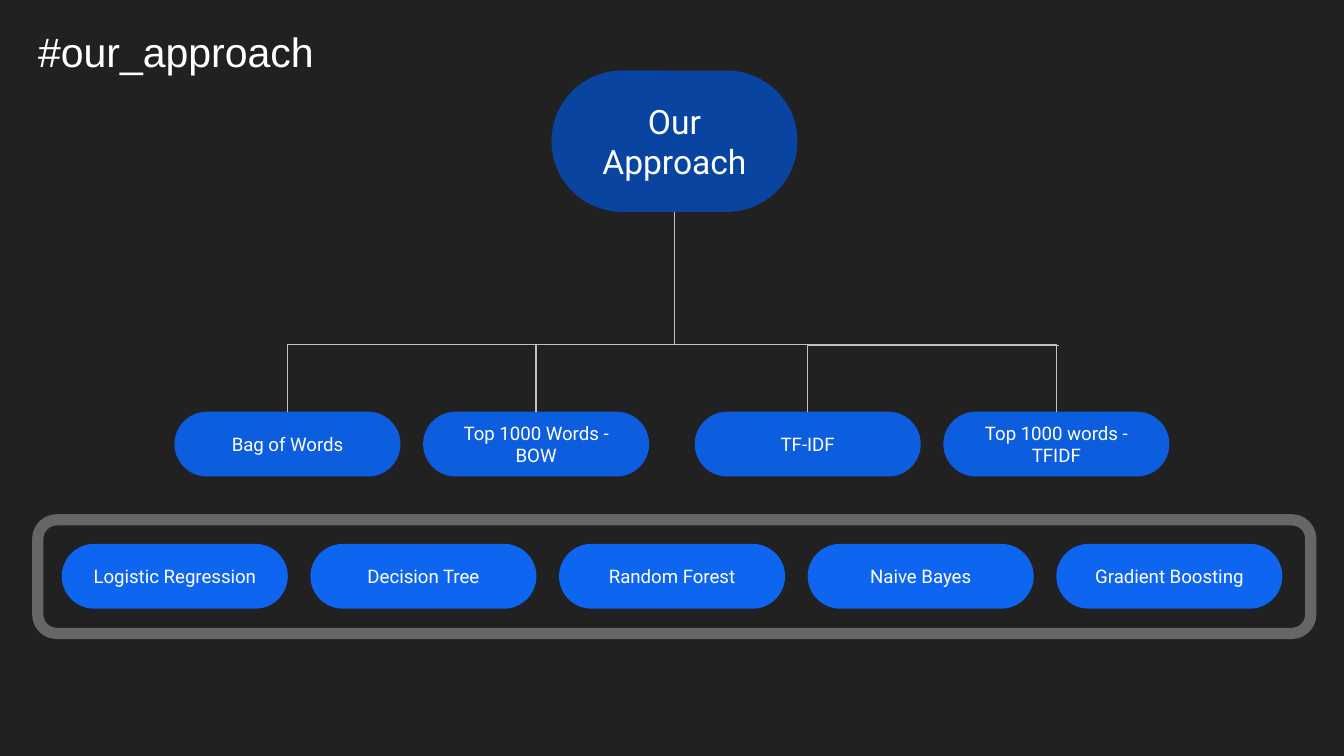
from pptx import Presentation
from pptx.dml.color import RGBColor
from pptx.enum.shapes import MSO_CONNECTOR, MSO_SHAPE
from pptx.enum.text import MSO_ANCHOR, PP_ALIGN
from pptx.oxml.ns import qn
from pptx.util import Pt
from lxml import etree

ROUNDED = MSO_SHAPE.ROUNDED_RECTANGLE
FRAME = MSO_SHAPE.FLOWCHART_ALTERNATE_PROCESS
ELBOW = MSO_CONNECTOR.ELBOW
TOP, MIDDLE = MSO_ANCHOR.TOP, MSO_ANCHOR.MIDDLE
LEFT, CENTER = PP_ALIGN.LEFT, PP_ALIGN.CENTER

BACKGROUND = RGBColor(0x21, 0x21, 0x21)
WHITE = RGBColor(0xFF, 0xFF, 0xFF)
ROOT_BLUE = RGBColor(0x09, 0x44, 0xA1)
FEATURE_BLUE = RGBColor(0x0D, 0x5D, 0xDF)
MODEL_BLUE = RGBColor(0x0E, 0x65, 0xF0)
LINE_GRAY = RGBColor(0xC2, 0xC2, 0xC2)
FRAME_GRAY = RGBColor(0x66, 0x66, 0x66)

PILL_WIDTH, PILL_HEIGHT, PILL_STEP = 121.1, 34.7, 133.2
PAIR_STEP = 278.7
FEATURE_PAIRS = [
    ["Bag of Words", "Top 1000 Words - BOW"],
    ["TF-IDF", "Top 1000 words - TFIDF"],
]
MODELS = ["Logistic Regression", "Decision Tree", "Random Forest",
          "Naive Bayes", "Gradient Boosting"]


def set_values(target, values):
    """Set each named attribute of the target."""
    for name, value in values.items():
        setattr(target, name, value)


def write_text(shape, text, size, font, align, anchor):
    """Put one formatted white paragraph into a shape."""
    frame = shape.text_frame
    inset = Pt(7.2)
    set_values(frame, {
        "text": text, "word_wrap": True, "vertical_anchor": anchor,
        "margin_left": inset, "margin_right": inset,
        "margin_top": inset, "margin_bottom": inset,
    })
    para = frame.paragraphs[0]
    para.alignment = align
    set_values(para.font, {"size": Pt(size), "name": font})
    para.font.color.rgb = WHITE


def add_title(page, text, left, top, width, height):
    """Place the slide title in its box."""
    title = page.shapes.title
    set_values(title, {"left": Pt(left), "top": Pt(top),
                       "width": Pt(width), "height": Pt(height)})
    write_text(title, text, 22, "Arial", LEFT, TOP)


def add_pill(page, text, color, size, left, top, width, height):
    """Draw a labelled box with fully rounded ends."""
    pill = page.shapes.add_shape(ROUNDED, Pt(left), Pt(top), Pt(width), Pt(height))
    pill.adjustments[0] = 0.5
    pill.shadow.inherit = False
    pill.fill.solid()
    pill.fill.fore_color.rgb = color
    pill.line.fill.background()
    write_text(pill, text, size, "Roboto", CENTER, MIDDLE)


def add_pill_row(page, labels, color, left, top):
    """Draw evenly spaced pills and return their centres."""
    centers = []
    for index, label in enumerate(labels):
        x = left + index * PILL_STEP
        add_pill(page, label, color, 10, x, top, PILL_WIDTH, PILL_HEIGHT)
        centers.append(x + PILL_WIDTH / 2)
    return centers


def add_branch(page, x1, y1, x2, y2):
    """Draw a one-bend branch that runs across and then up or down."""
    branch = page.shapes.add_connector(ELBOW, Pt(x1), Pt(y1), Pt(x2), Pt(y2))
    branch.line.color.rgb = LINE_GRAY
    branch.line.width = Pt(0.75)
    properties = branch._element.spPr
    properties.find(qn("a:prstGeom")).set("prst", "bentConnector2")
    etree.SubElement(properties, qn("a:effectLst"))


def add_tree(page, left, top, width, height):
    """Draw the root, its feature sets and the branches between them."""
    root_width, root_height = 131.8, 75.7
    center = left + width / 2 + 1.4
    bus = top + 146.7
    child_top = top + height - PILL_HEIGHT
    add_pill(page, "Our Approach", ROOT_BLUE, 18,
             center - root_width / 2, top, root_width, root_height)
    centers = []
    for index, labels in enumerate(FEATURE_PAIRS):
        centers += add_pill_row(page, labels, FEATURE_BLUE,
                                left + index * PAIR_STEP, child_top)
    first, second, third, fourth = centers
    left_joint, right_joint = second - PILL_WIDTH / 2, fourth - PILL_WIDTH / 2
    for joint in (right_joint, left_joint):
        add_branch(page, joint, bus, center, top + root_height)
    add_branch(page, first + 1.4, bus, second, child_top)
    add_branch(page, left_joint - 1, bus, first, child_top)
    add_branch(page, right_joint - 5.7, bus, fourth, child_top)
    add_branch(page, fourth + 1.4, bus + 0.5, third, child_top)


def add_models(page, left, top, width, height):
    """Draw the framed row of models."""
    add_pill_row(page, MODELS, MODEL_BLUE, left + 12.9, top + 12.9)
    frame = page.shapes.add_shape(FRAME, Pt(left), Pt(top), Pt(width), Pt(height))
    frame.shadow.inherit = False
    frame.fill.background()
    frame.line.color.rgb = FRAME_GRAY
    frame.line.width = Pt(6)


def main():
    """Build and save the deck."""
    deck = Presentation()
    set_values(deck, {"slide_width": Pt(720), "slide_height": Pt(405)})
    page = deck.slides.add_slide(deck.slide_layouts[5])
    page.background.fill.solid()
    page.background.fill.fore_color.rgb = BACKGROUND
    add_tree(page, 93.5, 37.8, 532.9, 217.5)
    add_models(page, 20.2, 278.5, 682, 60.9)
    add_title(page, "#our_approach", 13.2, 7.2, 165, 44.6)
    deck.save("out.pptx")


if __name__ == "__main__":
    main()
